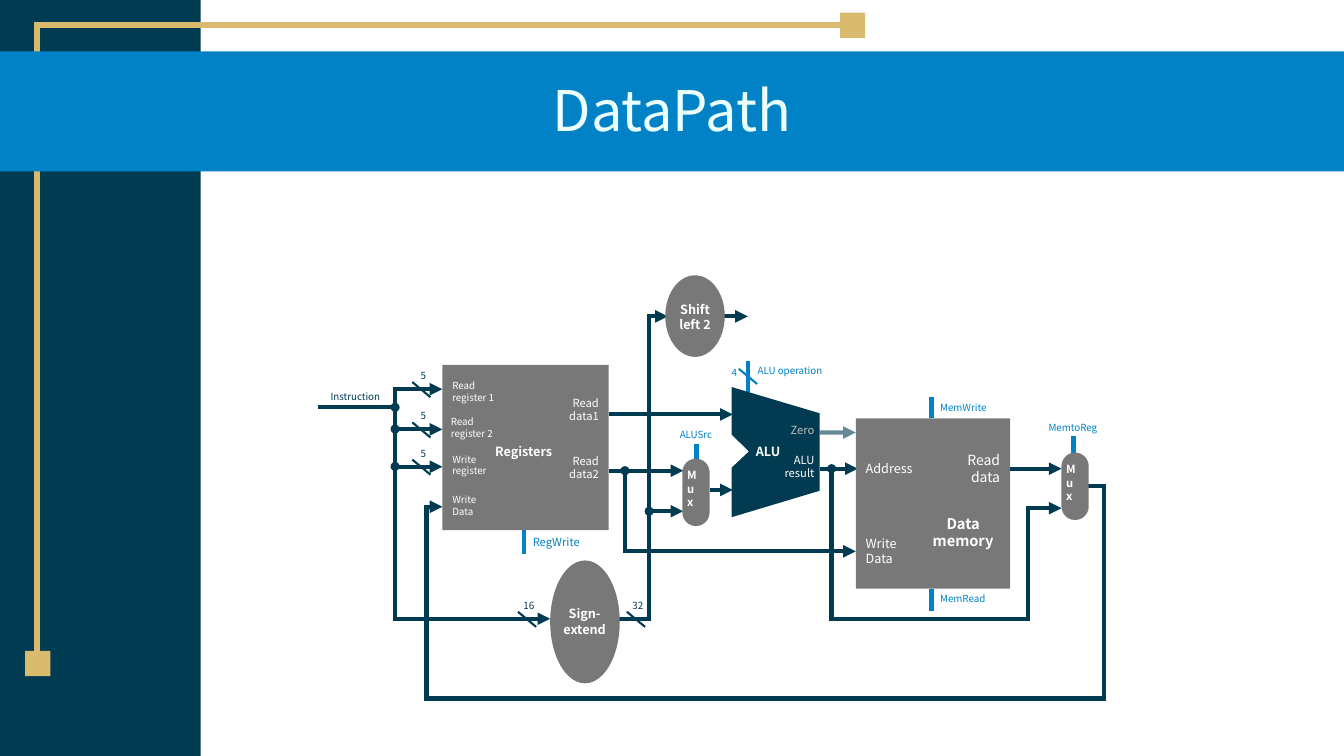
import pptx
import pptx.util
import pptx.dml.color
import pptx.enum.shapes
import pptx.enum.text
import pptx.oxml

Pt = pptx.util.Pt
RGB = pptx.dml.color.RGBColor.from_string
SHAPE = pptx.enum.shapes.MSO_SHAPE
ALIGN = pptx.enum.text.PP_ALIGN
ANCHOR = pptx.enum.text.MSO_ANCHOR
NS = 'xmlns:a="http://schemas.openxmlformats.org/drawingml/2006/main"'
FONT = "Noto Sans CJK KR"
COLORS = {"navy": "013B51", "blue": "0182C6", "gold": "DABA6F", "gray": "787878",
          "white": "FFFFFF", "pale": "BFBFBF", "title": "EBFFFF"}

deck = pptx.Presentation()
deck.slide_width, deck.slide_height = Pt(960), Pt(540)
slide = deck.slides.add_slide(deck.slide_layouts[5])


def add_block(kind, left, top, width, height, color):
    """Add a preset shape with a plain fill and no outline."""
    block = slide.shapes.add_shape(kind, Pt(left), Pt(top), Pt(width), Pt(height))
    block.shadow.inherit = False
    block.fill.solid()
    block.fill.fore_color.rgb = RGB(COLORS[color])
    block.line.fill.background()
    return block


def add_route(points, color="navy", width=3, arrow=False, alpha=None):
    """Draw straight segments through the points, with an arrow at the end if asked."""
    for start, end in zip(points, points[1:]):
        wire = slide.shapes.add_connector(
            pptx.enum.shapes.MSO_CONNECTOR.STRAIGHT, *map(Pt, start + end))
        wire.line.color.rgb = RGB(COLORS[color])
        wire.line.width = Pt(width)
        line_xml = wire.line._get_or_add_ln()
        if len(points) > 2:
            line_xml.set("cap", "sq")
        if alpha:
            line_xml.find(".//{*}srgbClr").append(
                pptx.oxml.parse_xml(f'<a:alpha {NS} val="{alpha * 1000}"/>'))
        if arrow and end == points[-1]:
            line_xml.append(pptx.oxml.parse_xml(f'<a:tailEnd {NS} type="triangle"/>'))
        wire._element.spPr.append(pptx.oxml.parse_xml(f"<a:effectLst {NS}/>"))


# Frame and title
add_block(SHAPE.RECTANGLE, 0, 0, 143.3, 540, "navy")
add_route([(26.6, 465), (26.6, 18), (600, 18)], "gold", 4.5)
for left, top in [(600, 9), (18, 465)]:
    add_block(SHAPE.RECTANGLE, left, top, 18, 18, "gold")
band = add_block(SHAPE.RECTANGLE, 0, 36.7, 960, 85.7, "blue")

title = slide.shapes.title
band._element.addnext(title._element)
title.left, title.top, title.width, title.height = Pt(7), Pt(47.5), Pt(946), Pt(59)
title.text_frame.text = "DataPath"
title.text_frame.vertical_anchor = ANCHOR.BOTTOM
heading = title.text_frame.paragraphs[0]
heading.alignment = ALIGN.CENTER
heading.line_spacing = 0.9
heading.font.name, heading.font.size = FONT, Pt(40)
heading.font.color.rgb = RGB(COLORS["title"])

# Data wires
trunk, extended, data2, bypass, loop = 282.2, 463.7, 446.4, 594, 304.6
add_route([(226.8, 291), (trunk, 291)])
data_routes = [
    [(trunk, 442), (trunk, 278), (316, 278)],
    [(trunk, 306.7), (316, 306.7)],
    [(trunk, 333.4), (316, 333.4)],
    [(trunk, 442), (393, 442)],
    [(435, 296), (523.4, 296)],
    [(435, 336.2), (488, 336.2)],
    [(data2, 336.2), (data2, 393.8), (611.3, 393.8)],
    [(442.8, 442), (extended, 442), (extended, 226), (477, 226)],
    [(extended, 365.2), (488, 365.2)],
    [(507, 350), (523.4, 350)],
    [(517, 226), (534.2, 226)],
    [(585.4, 334.8), (612.7, 334.8)],
    [(bypass, 334.8), (bypass, 442), (734.4, 442), (734.4, 363), (758.2, 363)],
    [(721.4, 334.8), (758.2, 334.8)],
    [(777.6, 347), (788.4, 347), (788.4, 499), (loop, 499), (loop, 362), (316, 362)],
]
for route in data_routes:
    add_route(route, arrow=True)
add_route([(585.4, 309), (611.3, 309)], arrow=True, alpha=60)

# Control lines
for x, top, bottom in [(374.4, 378.7, 396), (534.2, 257.8, 280), (665.3, 420.5, 436.3),
                       (665.3, 283.7, 298.8), (497.5, 316.8, 328.3), (766.8, 311.8, 323.3)]:
    add_route([(x, top), (x, bottom)], "blue")

# Units
add_block(SHAPE.RECTANGLE, 316, 260.6, 118.8, 118.1, "gray")
add_block(SHAPE.RECTANGLE, 611.3, 298.8, 110.2, 121.7, "gray")
add_block(SHAPE.OVAL, 393, 400.3, 49.7, 87.8, "gray")
add_block(SHAPE.OVAL, 475.2, 196.6, 42.5, 58.3, "gray")
outline = slide.shapes.build_freeform(Pt(522.7), Pt(276.5))
outline.add_line_segments([(Pt(x), Pt(y)) for x, y in [
    (585.4, 295.2), (585.4, 350.6), (522.7, 369.4), (522.7, 334), (535, 322.5),
    (522.7, 310.5)]], close=True)
alu = outline.convert_to_shape()
alu.shadow.inherit = False
alu.fill.solid()
alu.fill.fore_color.rgb = RGB(COLORS["navy"])
alu.line.fill.background()

for x, y in [(trunk, 291), (trunk, 306.5), (trunk, 333.2), (extended, 365.2),
             (data2, 336.2), (bypass, 334.8)]:
    add_block(SHAPE.OVAL, x - 3.25, y - 3.25, 6.5, 6.5, "navy")

# Labels: text, left, top, width, height, size, colour, alignment, bold
L, C, R = ALIGN.LEFT, ALIGN.CENTER, ALIGN.RIGHT
labels = [
    ("Read\nregister 1", 316, 263.5, 56, 32.4, 7, "white", L, False),
    ("Read\nregister 2", 315, 289.4, 56, 32.4, 7, "white", L, False),
    ("Write\nregister", 316, 316, 56, 32.4, 7, "white", L, False),
    ("Write\nData", 316, 344.9, 56, 32.4, 7, "white", L, False),
    ("Registers", 332, 301, 84.2, 43.2, 9, "white", C, True),
    ("Read\ndata1", 392.6, 279.4, 42.3, 26, 8, "white", R, False),
    ("Read\ndata2", 392.6, 321, 42.3, 26, 8, "white", R, False),
    ("RegWrite", 373.5, 374.4, 52, 26, 8, "blue", L, False),
    ("ALU", 522.7, 308.9, 51.8, 26.6, 9, "white", C, True),
    ("ALU\nresult", 546.6, 320.4, 42.3, 26, 8, "white", R, False),
    ("Zero", 552.4, 298.8, 36.5, 17.3, 8, "pale", R, False),
    ("ALU operation", 534.2, 256.3, 67.7, 16.6, 7, "blue", L, False),
    ("4", 515.5, 257.8, 15.1, 16.6, 7, "blue", C, False),
    ("Sign-\nextend", 391.7, 430.6, 51.8, 26.6, 9, "white", C, True),
    ("Shift\nleft 2", 474.5, 217.4, 43.9, 18, 9, "white", C, True),
    ("Instruction", 227.5, 275, 52.6, 16.6, 7, "navy", C, False),
    ("Address", 611.3, 319.7, 54, 30.2, 9, "white", L, False),
    ("Write\nData", 611.3, 378.7, 52, 30.2, 9, "white", L, False),
    ("Read\ndata", 676, 322.6, 45.4, 24.5, 10, "white", R, False),
    ("Data\nmemory", 648.7, 360, 78.5, 40.3, 10.5, "white", C, True),
    ("MemRead", 664.5, 415.4, 52, 24.5, 7, "blue", L, False),
    ("MemWrite", 664.5, 278.6, 52, 24.5, 7, "blue", L, False),
    ("ALUSrc", 478, 302.4, 38.2, 16.6, 7, "blue", C, False),
    ("MemtoReg", 740, 297.4, 52.6, 16.6, 7, "blue", C, False),
]

# Bus widths: a slash across the wire and the number of bits above it
add_route([(527.8, 263.5), (540.8, 274.3)], "blue", 1.5)
for bits, x, y in [("5", 294.5, 272.9), ("5", 294.5, 301.7), ("5", 294.5, 328.3),
                   ("16", 370, 437), ("32", 447.8, 437)]:
    add_route([(x, y), (x + 13, y + 10.8)], "navy", 1.5)
    labels.append((bits, x - 5.2, y - 12.9, 26, 16.6, 7, "navy", C, False))

# Multiplexers with stacked letters
for left, top in [(487.4, 327.6), (758.2, 323.3)]:
    mux = add_block(SHAPE.ROUNDED_RECTANGLE, left, top, 19.5, 48.2, "gray")
    mux.adjustments[0] = 0.5
    labels.append(("Mux", left + 3.4, top + 7, 12.2, 34.6, 8, "white", L, True))

for text, left, top, width, height, size, color, alignment, bold in labels:
    label = slide.shapes.add_textbox(Pt(left), Pt(top), Pt(width), Pt(height))
    frame = label.text_frame
    frame.text = text
    frame.word_wrap = True
    frame.vertical_anchor = ANCHOR.MIDDLE
    if text == "Mux":
        frame.vertical_anchor = ANCHOR.TOP
        frame.margin_left = frame.margin_right = frame.margin_top = frame.margin_bottom = 0
        frame._txBody.bodyPr.set("vert", "wordArtVert")
    for paragraph in frame.paragraphs:
        paragraph.alignment = alignment
        paragraph.font.name, paragraph.font.size = FONT, Pt(size)
        paragraph.font.bold = bold
        paragraph.font.color.rgb = RGB(COLORS[color])

deck.save("out.pptx")
